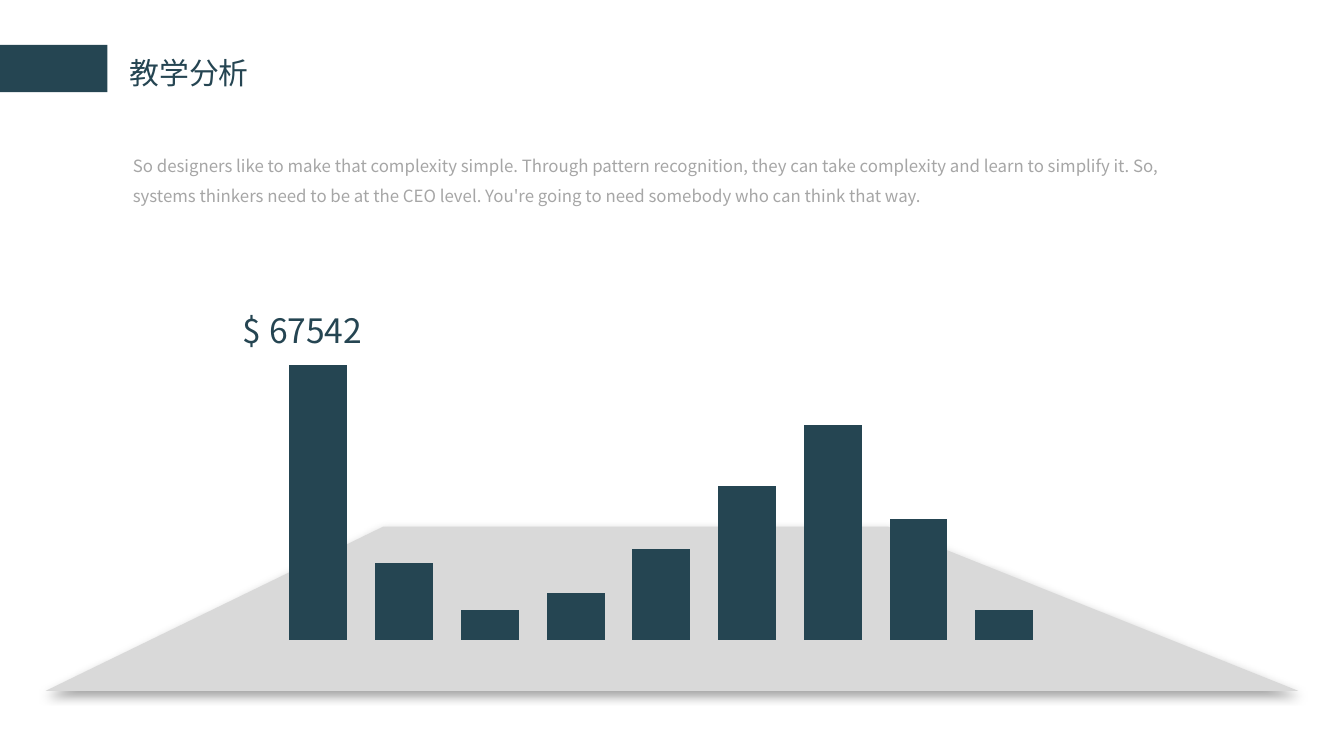
"""Build the teaching analysis slide with a column chart on a shaded floor."""
from lxml import etree
from pptx import Presentation
from pptx.chart.data import CategoryChartData
from pptx.dml.color import RGBColor
from pptx.enum.chart import XL_CHART_TYPE
from pptx.enum.shapes import MSO_SHAPE
from pptx.enum.text import MSO_AUTO_SIZE
from pptx.oxml import parse_xml
from pptx.oxml.ns import nsdecls, qn
from pptx.util import Pt

COLUMNS = XL_CHART_TYPE.COLUMN_CLUSTERED
RECTANGLE = MSO_SHAPE.RECTANGLE
GROW = MSO_AUTO_SIZE.SHAPE_TO_FIT_TEXT

COLORS = {"teal": "254552", "floor": "D9D9D9", "muted": "A6A6A6",
          "black": "000000", "white": "FFFFFF"}
LATIN, SANS = "Calibri", "Noto Sans CJK SC"


def rgb(name):
    return RGBColor.from_string(COLORS[name])


def apply(target, values):
    for name, value in values.items():
        setattr(target, name, value)


class SlideBuilder:
    def __init__(self, slide):
        self.slide = slide
        self.shapes = slide.shapes
        slide.background.fill.solid()
        slide.background.fill.fore_color.rgb = rgb("white")

    def paint(self, shape, color):
        shape.fill.solid()
        shape.fill.fore_color.rgb = rgb(color)
        shape.line.fill.background()
        shape.shadow.inherit = False

    def block(self, box, color):
        shape = self.shapes.add_shape(RECTANGLE, *map(Pt, box))
        self.paint(shape, color)

    def floor(self, corners, color, blur, distance, opacity):
        start, *others = [(Pt(x), Pt(y)) for x, y in corners]
        outline = self.shapes.build_freeform(*start, scale=1.0)
        outline.add_line_segments(others, close=True)
        shape = outline.convert_to_shape()
        self.paint(shape, color)
        effects = shape._element.spPr.find(qn("a:effectLst"))
        effects.append(parse_xml(
            f'<a:outerShdw {nsdecls("a")} blurRad="{Pt(blur)}" dist="{Pt(distance)}" '
            f'dir="5400000" algn="t" rotWithShape="0"><a:srgbClr val="{COLORS["black"]}">'
            f'<a:alpha val="{opacity * 1000}"/></a:srgbClr></a:outerShdw>'))

    def text(self, box, words, font, size, color, wrap=False, spacing=None, inset=(7.2, 3.6)):
        frame = self.shapes.add_textbox(*map(Pt, box)).text_frame
        side, edge = map(Pt, inset)
        apply(frame, {"word_wrap": wrap, "auto_size": GROW,
                      "margin_left": side, "margin_right": side,
                      "margin_top": edge, "margin_bottom": edge})
        paragraph = frame.paragraphs[0]
        paragraph.line_spacing = spacing
        run = paragraph.add_run()
        run.text = words
        apply(run.font, {"name": font, "size": Pt(size)})
        run.font.color.rgb = rgb(color)

    def columns(self, box, categories, name, values, color, plot_area):
        data = CategoryChartData()
        data.categories = categories
        data.add_series(name, values)
        chart = self.shapes.add_chart(COLUMNS, *map(Pt, box), data).chart
        apply(chart, {"has_legend": False, "has_title": False})
        apply(chart.font, {"name": LATIN, "size": Pt(10)})
        chart.font.color.rgb = rgb("black")
        for axis in (chart.category_axis, chart.value_axis):
            apply(axis, {"visible": False, "has_major_gridlines": False})
        apply(chart.value_axis, {"minimum_scale": 0, "maximum_scale": 110})
        plot = chart.plots[0]
        apply(plot, {"gap_width": 48, "overlap": 38, "vary_by_categories": False})
        fill = plot.series[0].format.fill
        fill.solid()
        fill.fore_color.rgb = rgb(color)
        area = chart._chartSpace.chart.plotArea
        for old in area.findall(qn("c:layout")):
            area.remove(old)
        layout = etree.Element(qn("c:layout"))
        manual = etree.SubElement(layout, qn("c:manualLayout"))
        settings = {"layoutTarget": "inner", "xMode": "edge", "yMode": "edge",
                    **dict(zip("xywh", plot_area))}
        for tag, value in settings.items():
            etree.SubElement(manual, qn(f"c:{tag}")).set("val", str(value))
        area.insert(0, layout)


def main():
    deck = Presentation()
    apply(deck, {"slide_width": Pt(720), "slide_height": Pt(405)})
    page = SlideBuilder(deck.slides.add_slide(deck.slide_layouts[6]))

    page.block((0, 24, 57.6, 25.3), "teal")
    page.text((64, 26.6, 75.6, 25.2), "教学分析", LATIN, 16, "teal", inset=(5.4, 2.7))
    page.floor([(205.2, 282.2), (475.9, 282.2), (695.5, 370.1), (24.5, 370.1)],
               "floor", blur=6, distance=2, opacity=36)
    page.columns((139, 175.7, 430.6, 170.6), ["1", "2", "3", "4"], "Series 1",
                 (100, 28, 11, 17, 33, 56, 78, 44, 11), "teal",
                 plot_area=(0.02, 0.03, 0.96, 0.95))
    page.text((64.1, 74.2, 591.1, 38.2),
              "So designers like to make that complexity simple. Through pattern recognition, "
              "they can take complexity and learn to simplify it. So, systems thinkers need to "
              "be at the CEO level. You're going to need somebody who can think that way.",
              SANS, 9, "muted", wrap=True, spacing=1.5)
    page.text((123.1, 162.7, 83.5, 28.8), "$ 67542", SANS, 18, "teal")

    deck.save("out.pptx")


if __name__ == "__main__":
    main()
